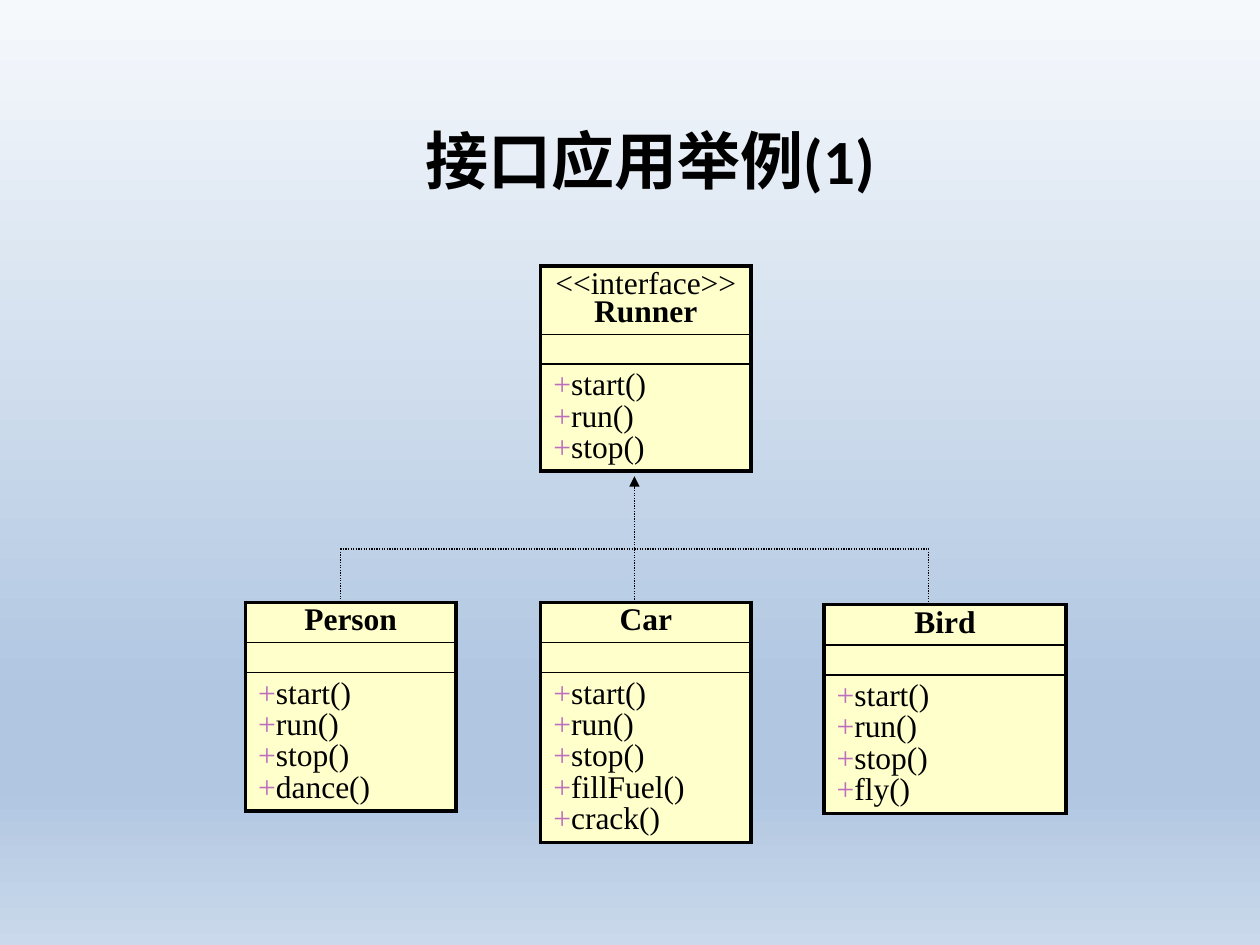
import lxml.etree
import pptx
import pptx.dml.color
import pptx.enum.dml
import pptx.enum.shapes
import pptx.enum.text
import pptx.oxml
import pptx.oxml.ns
import pptx.util

Cm, Pt = pptx.util.Cm, pptx.util.Pt
qn = pptx.oxml.ns.qn
ALIGN = pptx.enum.text.PP_ALIGN
MIDDLE = pptx.enum.text.MSO_ANCHOR.MIDDLE
COLORS = {"ink": "000000", "cell": "FFFFCC", "plus": "BD6FBF"}
BACKGROUND = {0: "F6F9FC", 74: "B0C6E1", 83: "B0C6E1", 100: "CAD9EB"}
THICK, THIN = 2.25, 1
RUN_METHODS = ["start()", "run()", "stop()"]


def rgb(name):
    """Return the named colour."""
    return pptx.dml.color.RGBColor.from_string(COLORS[name])


def sub(parent, tag, **attrs):
    """Append a DrawingML element and return it."""
    return lxml.etree.SubElement(parent, qn(tag), attrs)


def set_background(slide):
    """Fill the background with a vertical gradient."""
    fill = slide.background.fill
    fill.gradient()
    fill.gradient_angle = 270
    stops = slide.element.find(".//" + qn("a:gsLst"))
    for stop in list(stops):
        stops.remove(stop)
    for percent, color in BACKGROUND.items():
        stop = sub(stops, "a:gs", pos=str(percent * 1000))
        sub(stop, "a:srgbClr", val=color)


def add_title(slide, text, left, top, width, height):
    """Place and format the title placeholder."""
    sp = slide.shapes.title
    sp.left, sp.top, sp.width, sp.height = Cm(left), Cm(top), Cm(width), Cm(height)
    tf = sp.text_frame
    tf.text = text
    tf.vertical_anchor = MIDDLE
    p = tf.paragraphs[0]
    p.alignment = ALIGN.CENTER
    format_run(p.runs[0], 36, "Calibri", bold=True)


def format_run(r, size=18, name="Times New Roman", color="ink", bold=False):
    """Set the font of a run."""
    r.font.size, r.font.name, r.font.bold = Pt(size), name, bold
    r.font.color.rgb = rgb(color)


def style_cell(cell, top, bottom):
    """Give a cell its borders, fill and anchor."""
    tcPr = cell._tc.get_or_add_tcPr()
    for side, width in zip("LRTB", (THICK, THICK, top, bottom)):
        ln = sub(tcPr, "a:ln" + side, w=str(Pt(width)))
        sub(sub(ln, "a:solidFill"), "a:srgbClr", val=COLORS["ink"])
    cell.fill.solid()
    cell.fill.fore_color.rgb = rgb("cell")
    cell.vertical_anchor = MIDDLE


def add_class(slide, left, top, width, name, methods, stereotype=None):
    """Draw a UML class as a three-row table."""
    heading = [stereotype, name] if stereotype else [name]
    heights = [0.25 + 0.56 * len(heading), 0.58, 0.25 + 0.63 * len(methods)]
    frame = slide.shapes.add_table(3, 1, Cm(left), Cm(top), Cm(width), Cm(sum(heights)))
    table = frame.table
    table.first_row = table.horz_banding = False
    for row, height in zip(table.rows, heights):
        row.height = Cm(height)
    head, fields, body = [row.cells[0] for row in table.rows]
    style_cell(head, THICK, THIN)
    style_cell(fields, THIN, THIN)
    style_cell(body, THIN, THICK)

    head.text_frame.text = "\n".join(heading)
    for p in head.text_frame.paragraphs:
        p.alignment, p.line_spacing = ALIGN.CENTER, 0.8
        format_run(p.runs[0], bold=p.text == name)

    sub(fields.text_frame.paragraphs[0]._p, "a:endParaRPr", sz="800")

    body.text_frame.text = "\n".join("+" for method in methods)
    for p, method in zip(body.text_frame.paragraphs, methods):
        p.alignment, p.line_spacing = ALIGN.JUSTIFY, 0.9
        format_run(p.runs[0], color="plus")
        r = p.add_run()
        r.text = method
        format_run(r)


def add_line(slide, x1, y1, x2, y2, arrow=False):
    """Draw a dotted line, with an optional arrowhead at its end."""
    line = slide.shapes.add_connector(
        pptx.enum.shapes.MSO_CONNECTOR.STRAIGHT, Cm(x1), Cm(y1), Cm(x2), Cm(y2))
    line.line.width = Pt(0.75)
    line.line.color.rgb = rgb("ink")
    line.line.dash_style = pptx.enum.dml.MSO_LINE.ROUND_DOT
    if arrow:
        sub(line.line._get_or_add_ln(), "a:tailEnd", type="triangle")
    sub(line._element.spPr, "a:effectLst")


def add_realization(slide, left, top, width, height, stem, bar):
    """Draw the tree that joins the classes to their interface."""
    right, bottom = left + width, top + height
    add_line(slide, left, top + bar, right, top + bar)
    for x in (left, right):
        add_line(slide, x, top + bar, x, bottom)
    add_line(slide, left + stem, bottom, left + stem, top, arrow=True)


def main():
    """Build the slide."""
    prs = pptx.Presentation()
    prs.slide_width, prs.slide_height = Cm(25.4), Cm(19.05)
    slide = prs.slides.add_slide(prs.slide_layouts[5])
    set_background(slide)
    add_title(slide, "接口应用举例(1)", 6.86, 2.13, 12.5, 2.18)
    add_class(slide, 10.9, 5.36, 4.24, "Runner", RUN_METHODS, "<<interface>>")
    add_class(slide, 4.95, 12.14, 4.24, "Person", RUN_METHODS + ["dance()"])
    add_class(slide, 10.9, 12.14, 4.24, "Car", RUN_METHODS + ["fillFuel()", "crack()"])
    add_class(slide, 16.61, 12.19, 4.88, "Bird", RUN_METHODS + ["fly()"])
    add_realization(slide, 6.86, 9.6, 11.86, 2.54, stem=5.93, bar=1.47)
    prs.save("out.pptx")


if __name__ == "__main__":
    main()
